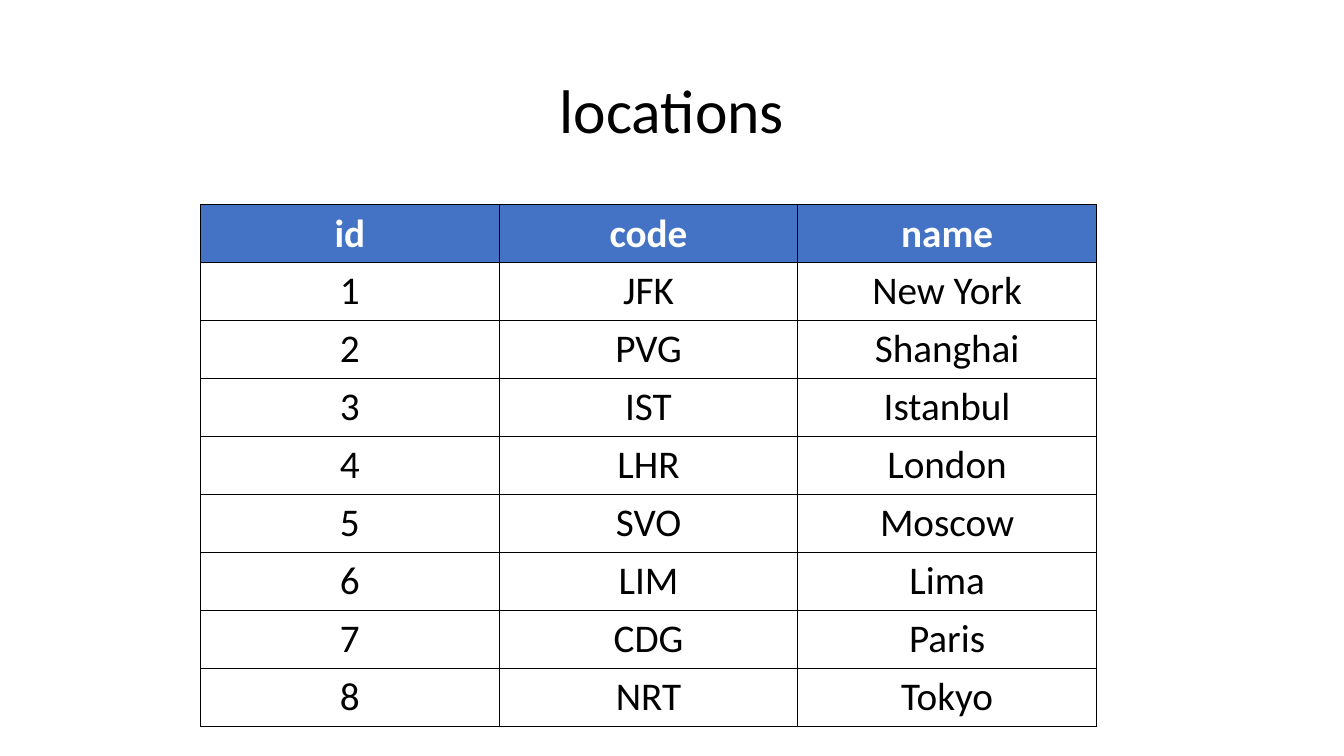
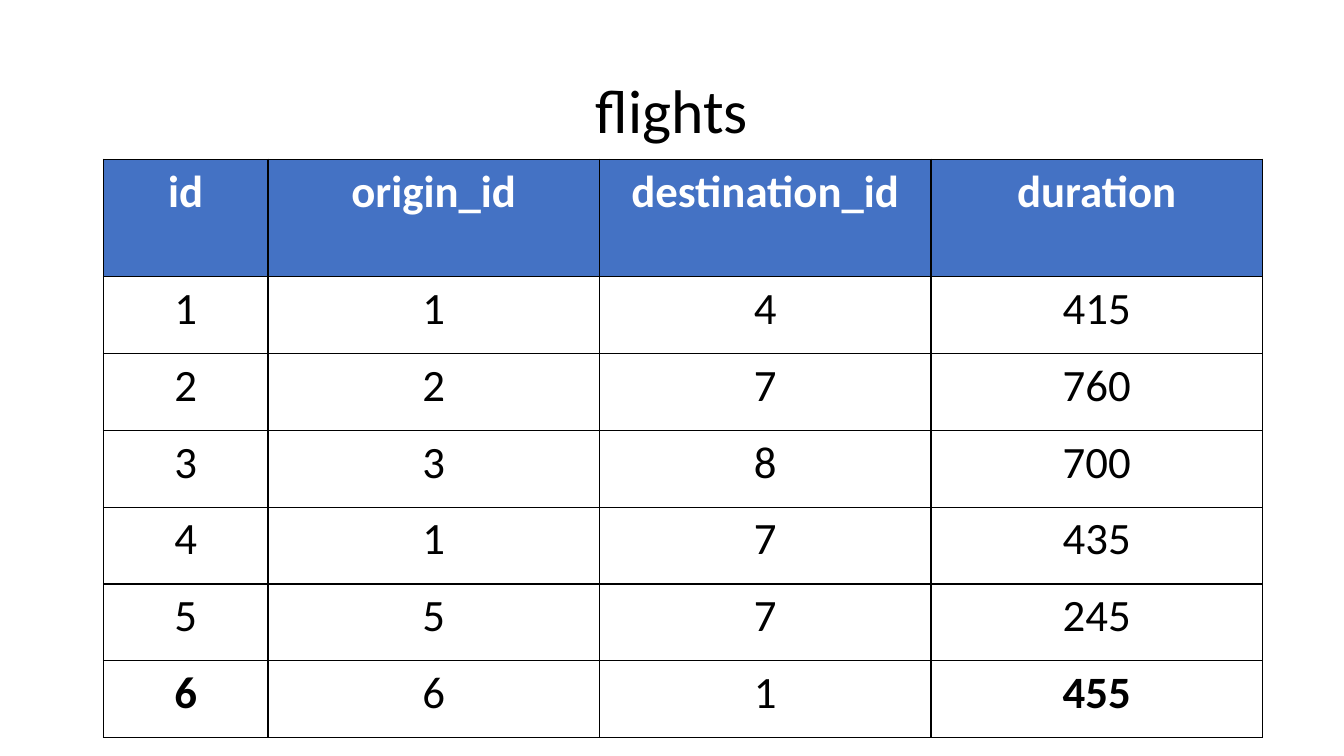
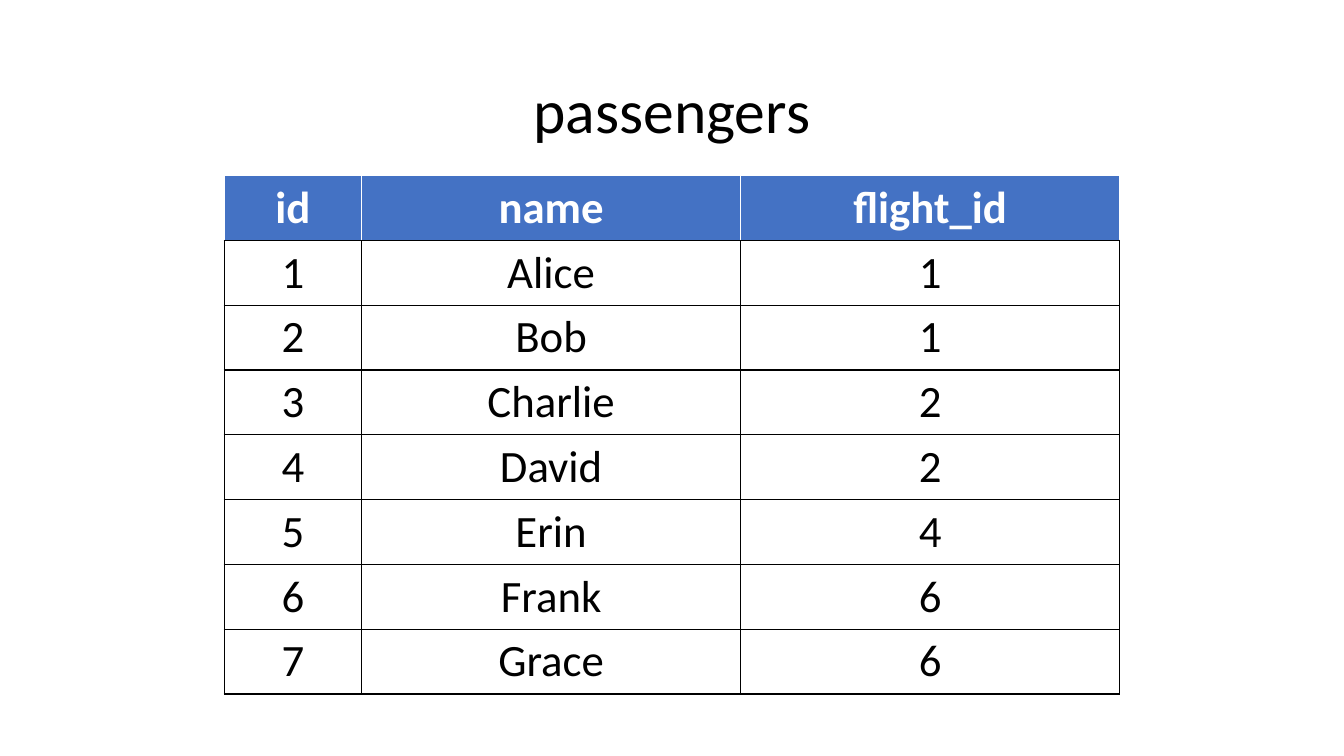
from dataclasses import dataclass

from lxml.etree import SubElement
from pptx import Presentation
from pptx.dml.color import RGBColor
from pptx.enum.text import MSO_ANCHOR as Anchor, PP_ALIGN as Align
from pptx.oxml.ns import qn
from pptx.util import Pt


@dataclass(frozen=True)
class Theme:
    font: str = "Calibri"
    ink: str = "000000"
    paper: str = "FFFFFF"
    accent: str = "4472C4"
    title_size: int = 44
    title_box: tuple = (66, 28.8, 828, 104.4)
    border_width: int = 1


THEME = Theme()

# Positions, widths and heights are in points; "bold" lists (row, column) cells.
TABLES = [
    {
        "title": "locations",
        "at": (143.3, 146.2), "widths": (213.3, 213.3, 213.3),
        "header_height": 41.4, "row_height": 41.4, "size": 28,
        "header_border": THEME.ink, "bold": (),
        "rows": [
            ("id", "code", "name"),
            ("1", "JFK", "New York"),
            ("2", "PVG", "Shanghai"),
            ("3", "IST", "Istanbul"),
            ("4", "LHR", "London"),
            ("5", "SVO", "Moscow"),
            ("6", "LIM", "Lima"),
            ("7", "CDG", "Paris"),
            ("8", "NRT", "Tokyo"),
        ],
    },
    {
        "title": "flights",
        "at": (73.9, 113.8), "widths": (117.6, 236.8, 236.8, 236.8),
        "header_height": 83.8, "row_height": 54.9, "size": 32,
        "header_border": THEME.ink, "bold": ((6, 0), (6, 3)),
        "rows": [
            ("id", "origin_id", "destination_id", "duration"),
            ("1", "1", "4", "415"),
            ("2", "2", "7", "760"),
            ("3", "3", "8", "700"),
            ("4", "1", "7", "435"),
            ("5", "5", "7", "245"),
            ("6", "6", "1", "455"),
        ],
    },
    {
        "title": "passengers",
        "at": (160.1, 125.4), "widths": (98.2, 270.8, 270.8),
        "header_height": 46.3, "row_height": 46.3, "size": 32,
        "header_border": THEME.paper, "bold": (),
        "rows": [
            ("id", "name", "flight_id"),
            ("1", "Alice", "1"),
            ("2", "Bob", "1"),
            ("3", "Charlie", "2"),
            ("4", "David", "2"),
            ("5", "Erin", "4"),
            ("6", "Frank", "6"),
            ("7", "Grace", "6"),
        ],
    },
]


def write(frame, text, size, color=THEME.ink, bold=False, spacing=None):
    para = frame.paragraphs[0]
    para.alignment = Align.CENTER
    para.line_spacing = spacing
    span = para.add_run()
    span.text = text
    span.font.name = THEME.font
    span.font.size = Pt(size)
    span.font.bold = bold
    span.font.color.rgb = RGBColor.from_string(color)


def set_borders(cell, side_color, bottom_color):
    """Draw all four cell edges; call before filling, as the schema puts lines first."""
    properties = cell._tc.get_or_add_tcPr()
    for edge in ("lnL", "lnR", "lnT", "lnB"):
        color = bottom_color if edge == "lnB" else side_color
        line = SubElement(properties, qn(f"a:{edge}"), w=str(Pt(THEME.border_width)))
        fill = SubElement(line, qn("a:solidFill"))
        SubElement(fill, qn("a:srgbClr"), val=color)


def add_title(page, text):
    box = page.shapes.add_textbox(*map(Pt, THEME.title_box))
    frame = box.text_frame
    frame.word_wrap = True
    frame.vertical_anchor = Anchor.MIDDLE
    write(frame, text, THEME.title_size, spacing=0.9)


def add_data_table(page, data):
    rows, widths = data["rows"], data["widths"]
    heights = [data["header_height"]] + [data["row_height"]] * (len(rows) - 1)
    extent = (*data["at"], sum(widths), sum(heights))
    table = page.shapes.add_table(len(rows), len(widths), *map(Pt, extent)).table
    table.first_row = table.horz_banding = False
    for column, width in zip(table.columns, widths):
        column.width = Pt(width)
    for r, (values, height) in enumerate(zip(rows, heights)):
        table.rows[r].height = Pt(height)
        header = r == 0
        for c, value in enumerate(values):
            cell = table.cell(r, c)
            set_borders(cell, data["header_border"] if header else THEME.ink, THEME.ink)
            if header:
                cell.fill.solid()
                cell.fill.fore_color.rgb = RGBColor.from_string(THEME.accent)
            else:
                cell.fill.background()
            write(cell.text_frame, value, data["size"],
                  color=THEME.paper if header else THEME.ink,
                  bold=header or (r, c) in data["bold"])


def main():
    deck = Presentation()
    deck.slide_width, deck.slide_height = Pt(960), Pt(540)
    for data in TABLES:
        page = deck.slides.add_slide(deck.slide_layouts[6])
        add_title(page, data["title"])
        add_data_table(page, data)
    deck.save("out.pptx")


if __name__ == "__main__":
    main()
